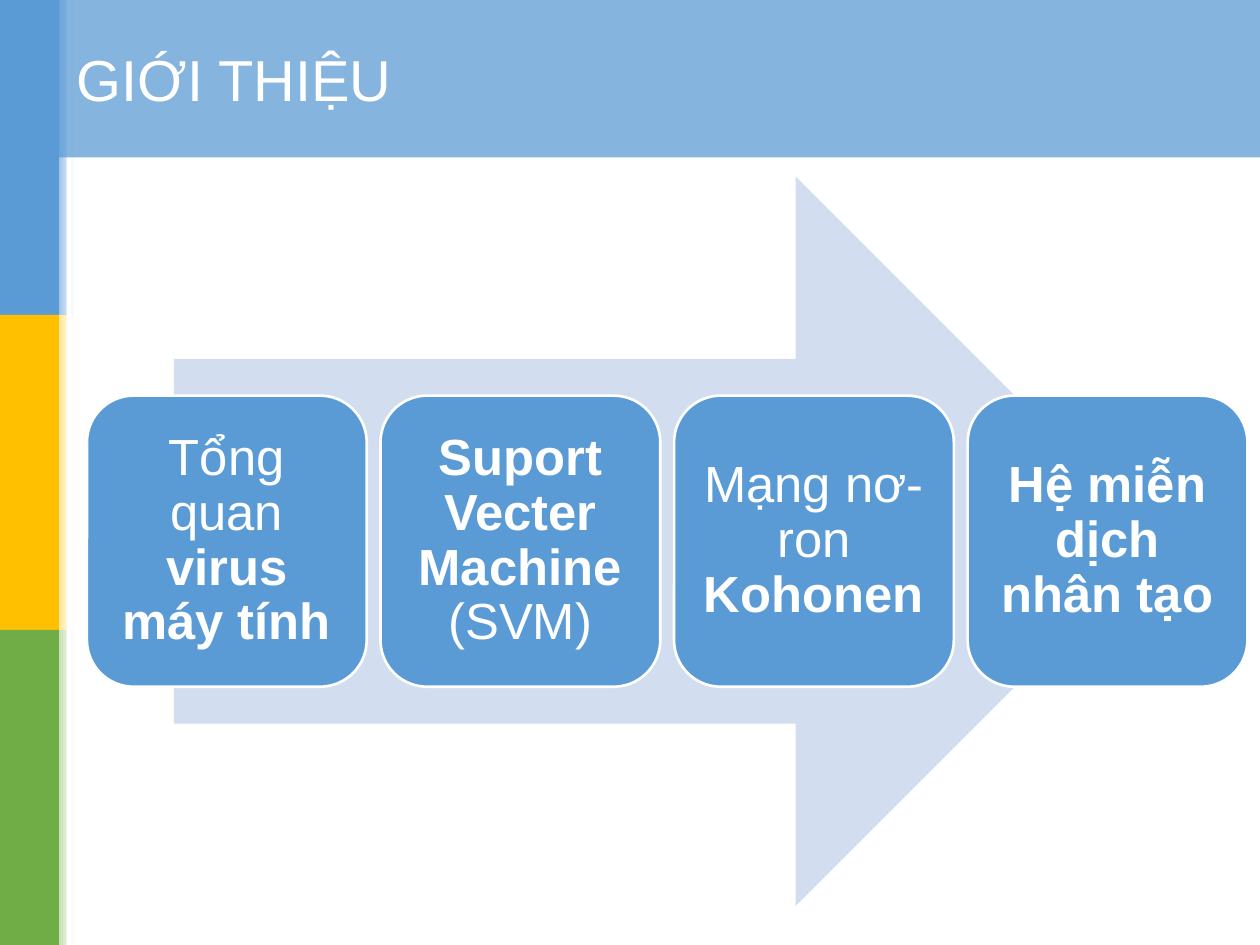
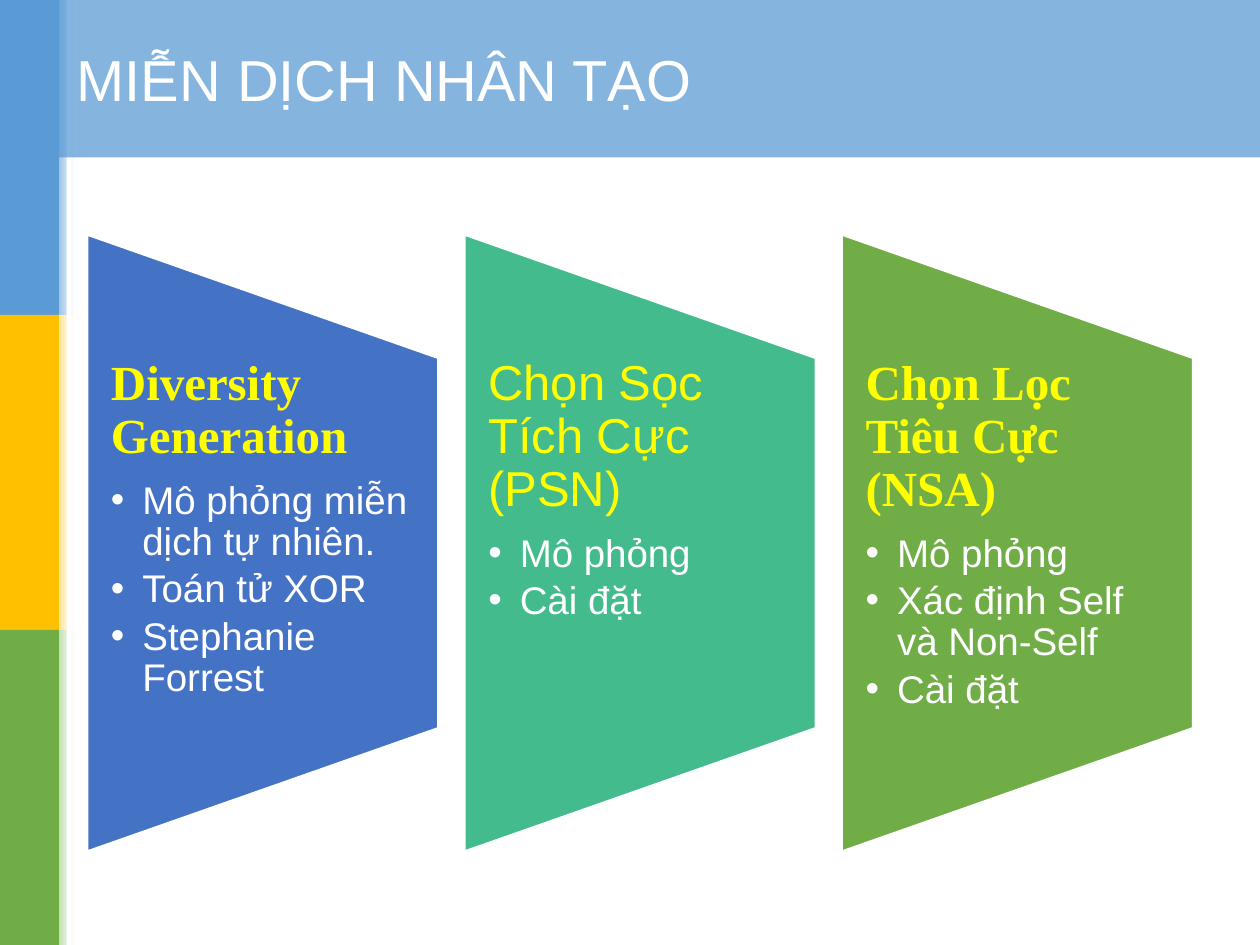
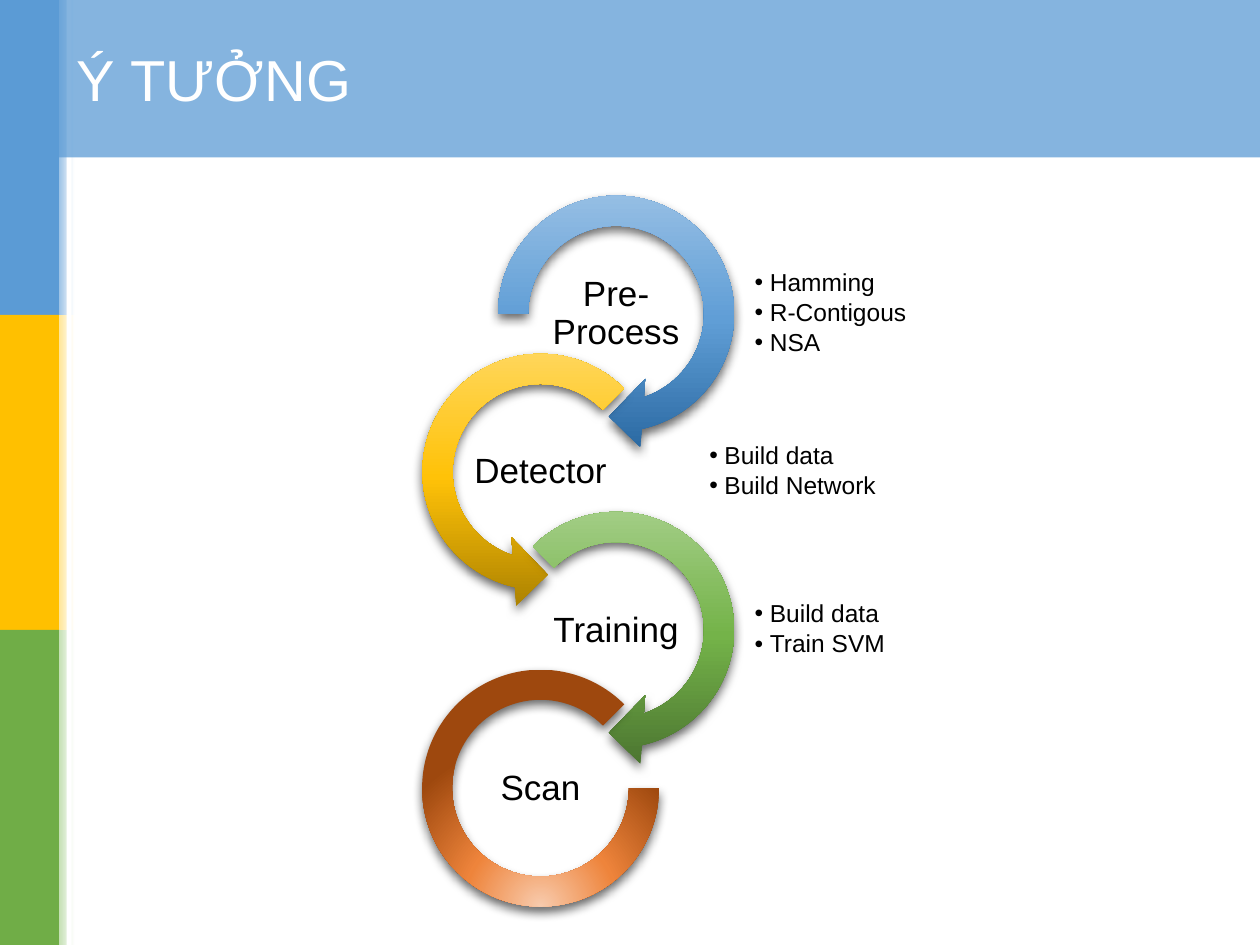
import pptx
import pptx.dml.color
import pptx.enum.shapes
import pptx.enum.text
import pptx.oxml
import pptx.oxml.ns
import pptx.util

RGBColor = pptx.dml.color.RGBColor
SHAPE = pptx.enum.shapes.MSO_SHAPE
ALIGN = pptx.enum.text.PP_ALIGN
ANCHOR = pptx.enum.text.MSO_ANCHOR
qn = pptx.oxml.ns.qn

WHITE = RGBColor(0xFF, 0xFF, 0xFF)
BLACK = RGBColor(0x00, 0x00, 0x00)
YELLOW = RGBColor(0xFF, 0xFF, 0x00)
BLUE = RGBColor(0x5B, 0x9B, 0xD5)
LIGHT_BLUE = RGBColor(0x9D, 0xC3, 0xE6)
PALE_BLUE = RGBColor(0xD2, 0xDE, 0xEF)
ROYAL_BLUE = RGBColor(0x44, 0x72, 0xC4)
TEAL = RGBColor(0x43, 0xBB, 0x8D)
GOLD = RGBColor(0xFF, 0xC0, 0x00)
LIGHT_GOLD = RGBColor(0xFF, 0xE6, 0x99)
GREEN = RGBColor(0x70, 0xAD, 0x47)
LIGHT_GREEN = RGBColor(0xC5, 0xE0, 0xB4)

BLUE_SHADES = [(0, RGBColor(0x2A, 0x69, 0xA2)), (48, RGBColor(0x60, 0x9E, 0xD6)),
               (100, LIGHT_BLUE)]
GOLD_SHADES = [(0, RGBColor(0xAB, 0x81, 0x00)), (48, RGBColor(0xFF, 0xC2, 0x08)),
               (100, RGBColor(0xFF, 0xD9, 0x66))]
GREEN_SHADES = [(0, RGBColor(0x4B, 0x74, 0x30)), (48, RGBColor(0x74, 0xB3, 0x49)),
                (100, RGBColor(0xA9, 0xD1, 0x8E))]
ORANGE_SHADES = [(0, RGBColor(0xF8, 0xCB, 0xAD)), (46, RGBColor(0xEE, 0x84, 0x3B)),
                 (100, RGBColor(0x9E, 0x48, 0x0E))]

UPWARD = '<a:lin ang="16200000" scaled="0"/>'
RIGHTWARD = '<a:lin ang="0" scaled="0"/>'
FROM_BELOW = ('<a:path path="circle"><a:fillToRect l="50000" t="130000" '
              'r="50000" b="-30000"/></a:path>')

SANS, SERIF = "Arial", "Times New Roman"
COLUMNS, ROWS = 100, 75
TITLE_ROWS = 12.5


def drawing_xml(tag, content="", **attributes):
    """Return an element of the drawing namespace."""
    listed = "".join(f' {name}="{value}"' for name, value in attributes.items())
    return pptx.oxml.parse_xml(
        f'<a:{tag} {pptx.oxml.ns.nsdecls("a")}{listed}>{content}</a:{tag}>')


def write(frame, runs, size, color, font=SANS, align=ALIGN.LEFT, line_spacing=0.9,
          space_after=0, indent=0, bullet=False):
    """Add one paragraph of (text, bold) runs; space_after is a share of the size."""
    paragraph = frame.paragraphs[0]
    if paragraph.runs:
        paragraph = frame.add_paragraph()
    paragraph.alignment = align
    paragraph.line_spacing = line_spacing
    paragraph.space_before = pptx.util.Pt(0)
    paragraph.space_after = pptx.util.Pt(round(size * space_after, 1))
    properties = paragraph._p.get_or_add_pPr()
    properties.set("marL", str(pptx.util.Inches(indent)))
    if bullet:
        paragraph.level = 1
        properties.set("indent", str(-pptx.util.Inches(indent)))
        properties.append(drawing_xml("buFont", typeface=SANS))
        properties.append(drawing_xml("buChar", char="•"))
    for text, bold in runs:
        run = paragraph.add_run()
        run.text = text
        run.font.name = font
        run.font.size = pptx.util.Pt(size)
        run.font.bold = bold
        run.font.color.rgb = color


class Deck:
    """The shared style, and the slide being built."""

    def __init__(self):
        """Open an empty presentation of 10 by 7.5 inches."""
        self.presentation = pptx.Presentation()
        self.presentation.slide_width = pptx.util.Inches(10)
        self.presentation.slide_height = pptx.util.Inches(7.5)
        self.layout = self.presentation.slide_layouts[5]
        self.slide = None

    def place(self, left, top, width, height):
        """Turn columns and rows into lengths."""
        column = self.presentation.slide_width / COLUMNS
        row = self.presentation.slide_height / ROWS
        return (round(left * column), round(top * row),
                round(width * column), round(height * row))

    def start_slide(self, title):
        """Add a slide with its title band; the first one also sets up the layout."""
        first = self.slide is None
        self.slide = self.presentation.slides.add_slide(self.layout)
        if first:
            self.decorate_layout()
        shape = self.slide.shapes.title
        shape.left, shape.top, shape.width, shape.height = self.place(
            0, 0, COLUMNS, TITLE_ROWS)
        shape.fill.solid()
        shape.fill.fore_color.rgb = BLUE
        color = shape.element.spPr.find(qn("a:solidFill")).find(qn("a:srgbClr"))
        color.append(drawing_xml("alpha", val=74000))
        self.prepare(shape.text_frame, ANCHOR.MIDDLE, (0.1, 0.05, 0.1, 0.05))
        write(shape.text_frame, [(title, False)], 33, WHITE, line_spacing=1, indent=0.51)

    def decorate_layout(self):
        """Draw the side bands and move them to the layout."""
        band = ROWS / 3
        colors = [(BLUE, LIGHT_BLUE), (GOLD, LIGHT_GOLD), (GREEN, LIGHT_GREEN)]
        shapes = []
        for index, (color, light) in enumerate(colors):
            shapes.append(self.shape(SHAPE.RECTANGLE, 0, index * band, 4.7, band, color))
            edge = self.shape(SHAPE.RECTANGLE, 4.7, index * band, 1.2, band)
            self.shade(edge, [(0, light), (100, WHITE)], RIGHTWARD)
            shapes.append(edge)
        shapes.append(self.shape(SHAPE.RECTANGLE, 5.3, 0, 0.4, ROWS, WHITE))
        tree = self.layout.element.cSld.spTree
        for position, shape in enumerate(shapes, start=2):
            tree.insert(position, shape.element)

    def prepare(self, frame, anchor, insets):
        """Set wrapping, anchor and insets (left, top, right, bottom, in inches)."""
        frame.word_wrap = True
        frame.auto_size = pptx.enum.text.MSO_AUTO_SIZE.NONE
        frame.vertical_anchor = anchor
        (frame.margin_left, frame.margin_top,
         frame.margin_right, frame.margin_bottom) = map(pptx.util.Inches, insets)

    def shape(self, kind, left, top, width, height, color=WHITE, outlined=False,
              adjustments=()):
        """Add a flat preset shape, with a white outline on request."""
        shape = self.slide.shapes.add_shape(kind, *self.place(left, top, width, height))
        shape.shadow.inherit = False
        shape.fill.solid()
        shape.fill.fore_color.rgb = color
        if outlined:
            shape.line.color.rgb = WHITE
            shape.line.width = pptx.util.Pt(1.5)
        else:
            shape.line.fill.background()
        for index, value in enumerate(adjustments):
            shape.adjustments[index] = value
        return shape

    def shade(self, shape, stops, direction):
        """Replace the fill of a shape by a gradient."""
        listed = "".join(f'<a:gs pos="{share * 1000}"><a:srgbClr val="{color}"/></a:gs>'
                         for share, color in stops)
        properties = shape.element.spPr
        properties.replace(
            properties.find(qn("a:solidFill")),
            drawing_xml("gradFill", f"<a:gsLst>{listed}</a:gsLst>{direction}",
                        rotWithShape=1))

    def drop_shadow(self, shape):
        """Give a shape a soft shadow below it."""
        shape.element.spPr.find(qn("a:effectLst")).append(drawing_xml(
            "outerShdw", '<a:srgbClr val="000000"><a:alpha val="60000"/></a:srgbClr>',
            blurRad=pptx.util.Pt(6), dist=pptx.util.Pt(3), dir=5400000,
            algn="ctr", rotWithShape=0))

    def text_box(self, left, top, width, height, anchor=ANCHOR.MIDDLE,
                 insets=(0.01, 0.01, 0.01, 0.01)):
        """Add a text box and return its text frame."""
        box = self.slide.shapes.add_textbox(*self.place(left, top, width, height))
        self.prepare(box.text_frame, anchor, insets)
        return box.text_frame

    def topic(self, left, runs):
        """Add a rounded topic block."""
        block = self.shape(SHAPE.ROUNDED_RECTANGLE, left, 31.4, 22.2, 23.1, BLUE,
                           outlined=True)
        self.prepare(block.text_frame, ANCHOR.MIDDLE, (0.12,) * 4)
        write(block.text_frame, runs, 29, WHITE, align=ALIGN.CENTER)

    def panel(self, left, color, font, heading, points):
        """Add a trapezoid on its side with a heading and bullets."""
        width, height, top = 27.9, 49, 18.6
        trapezoid = self.shape(SHAPE.FLOWCHART_MANUAL_OPERATION,
                               left + (width - height) / 2, top + (height - width) / 2,
                               height, width, color, outlined=True)
        trapezoid.rotation = 270
        frame = self.text_box(left, top + height * 0.2, width, height * 0.6,
                              ANCHOR.TOP, (0.19, 0, 0.2, 0))
        write(frame, [(heading, font == SERIF)], 28, YELLOW, font, space_after=0.35)
        for point in points:
            write(frame, [(point, False)], 22, WHITE, space_after=0.15, indent=0.25,
                  bullet=True)

    def stage(self, center, middle, kind, size, adjustments, shades, direction, label,
              label_width):
        """Add a ring of the process with its label, around a centre."""
        ring = self.shape(kind, center - size / 2, middle - size / 2, size, size,
                          adjustments=adjustments)
        self.shade(ring, shades, direction)
        self.drop_shadow(ring)
        frame = self.text_box(center - label_width / 2, middle - 3, label_width, 6.1)
        write(frame, [(label, False)], 20, BLACK, align=ALIGN.CENTER)

    def details(self, left, middle, width, points):
        """Add the bullets beside a ring."""
        frame = self.text_box(left, middle - 4.35, width, 8.7)
        for point in points:
            write(frame, [(point, False)], 14, BLACK, space_after=0.15, indent=0.12,
                  bullet=True)


def build_introduction(deck):
    """Build the four topics on an arrow."""
    deck.start_slide("GIỚI THIỆU")
    deck.shape(SHAPE.RIGHT_ARROW, 13.8, 14, 78.3, 57.9, PALE_BLUE)
    topics = [
        [("Tổng quan ", False), ("virus máy tính", True)],
        [("Suport Vecter Machine ", True), ("(SVM)", False)],
        [("Mạng nơ-ron ", False), ("Kohonen", True)],
        [("Hệ miễn dịch nhân tạo", True)],
    ]
    for index, runs in enumerate(topics):
        deck.topic(6.9 + index * 23.3, runs)


def build_immunity(deck):
    """Build the three panels of the artificial immune system."""
    deck.start_slide("MIỄN DỊCH NHÂN TẠO")
    panels = [
        (ROYAL_BLUE, SERIF, "Diversity Generation",
         ["Mô phỏng miễn dịch tự nhiên.", "Toán tử XOR", "Stephanie Forrest"]),
        (TEAL, SANS, "Chọn Sọc Tích Cực (PSN)", ["Mô phỏng", "Cài đặt"]),
        (GREEN, SERIF, "Chọn Lọc Tiêu Cực (NSA)",
         ["Mô phỏng", "Xác định Self và Non-Self", "Cài đặt"]),
    ]
    for index, panel in enumerate(panels):
        deck.panel(6.9 + index * 29.95, *panel)


def build_idea(deck):
    """Build the chain of four stages."""
    deck.start_slide("Ý TƯỞNG")
    right, left = 48.9, 42.9
    stages = [
        (right, SHAPE.CIRCULAR_ARROW, 21.8, (0.11, 11.42, 45, 108, 0.125),
         BLUE_SHADES, UPWARD, "Pre-Process", 14.6),
        (left, SHAPE.LEFT_CIRCULAR_ARROW, 21.8, (0.11, 11.42, 63, 189, 0.125),
         GOLD_SHADES, UPWARD, "Detector", 12.2),
        (right, SHAPE.CIRCULAR_ARROW, 21.8, (0.11, 11.42, 45, 135, 0.125),
         GREEN_SHADES, UPWARD, "Training", 12.2),
        (left, SHAPE.BLOCK_ARC, 18.8, (0, 189, 0.127),
         ORANGE_SHADES, FROM_BELOW, "Scan", 12.2),
    ]
    middles = [24.9 + index * 12.55 for index in range(len(stages))]
    for middle, (center, *style) in zip(middles, stages):
        deck.stage(center, middle, *style)
    details = [
        (59.8, 13.1, ["Hamming", "R-Contigous", "NSA"]),
        (56.2, 21, ["Build data", "Build Network"]),
        (59.8, 13.1, ["Build data", "Train SVM"]),
    ]
    for middle, (start, width, points) in zip(middles, details):
        deck.details(start, middle, width, points)


def main():
    """Build and save the presentation."""
    deck = Deck()
    build_introduction(deck)
    build_immunity(deck)
    build_idea(deck)
    deck.presentation.save("out.pptx")


main()
